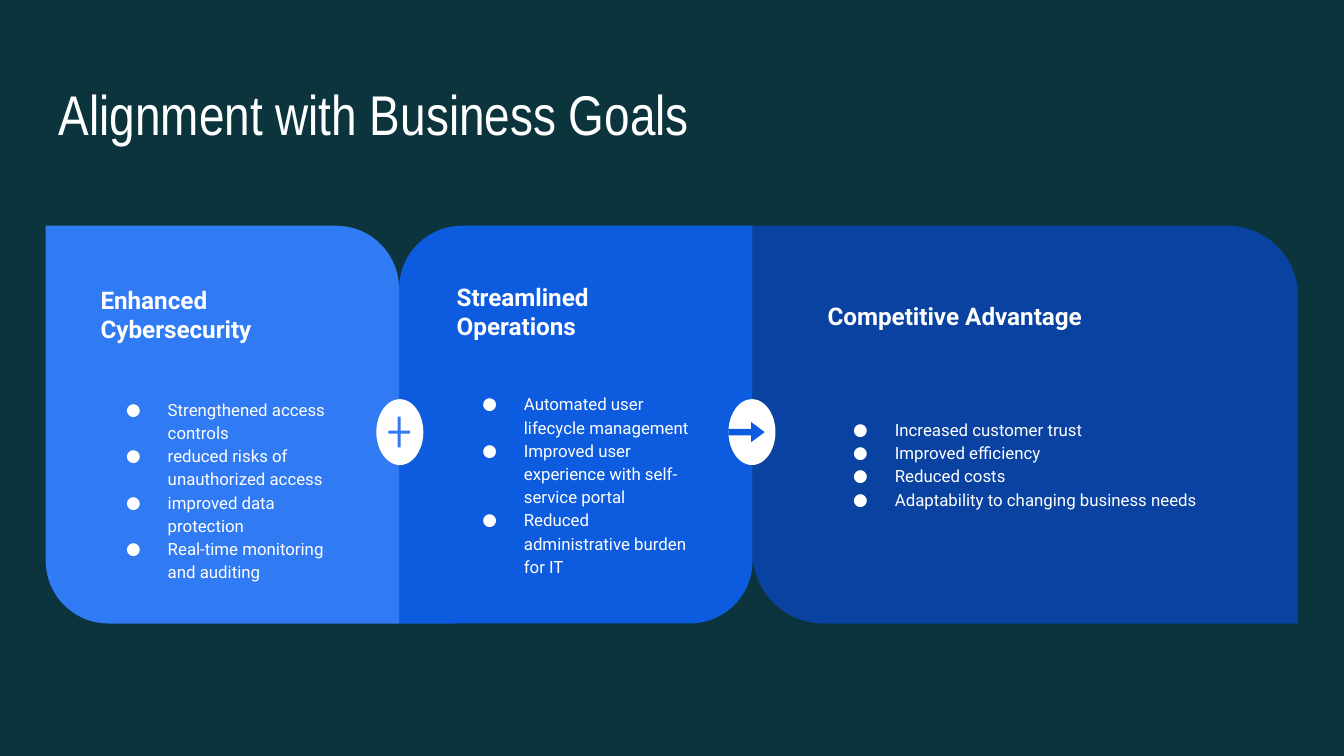
from pptx import Presentation
from pptx.dml.color import RGBColor
from pptx.enum.shapes import MSO_SHAPE as SHAPE
from pptx.enum.text import MSO_ANCHOR as ANCHOR
from pptx.oxml.ns import qn
from pptx.util import Inches, Pt
from lxml.etree import SubElement

COLORS = {"ground": "0C343D", "white": "FFFFFF", "light": "307AF3",
          "middle": "0D5CDF", "dark": "0942A1"}
ROUND = 0.178
PANEL_TOP, PANEL_HEIGHT = 1.68, 2.96


def add_filled(shapes, preset, box, color, adjustments=()):
    shape = shapes.add_shape(preset, *map(Inches, box))
    shape.shadow.inherit = False
    shape.fill.solid()
    shape.fill.fore_color.rgb = RGBColor.from_string(COLORS[color])
    shape.line.fill.background()
    for index, value in enumerate(adjustments):
        shape.adjustments[index] = value


def add_text(shapes, box, lines, bulleted=False, **font_format):
    frame = shapes.add_textbox(*map(Inches, box)).text_frame
    inset = Inches(0.1)
    frame_format = {"word_wrap": True, "vertical_anchor": ANCHOR.TOP,
                    "margin_left": inset, "margin_right": inset,
                    "margin_top": inset, "margin_bottom": inset}
    for name, value in frame_format.items():
        setattr(frame, name, value)
    for index, line in enumerate(lines):
        paragraph = frame.add_paragraph() if index else frame.paragraphs[0]
        run = paragraph.add_run()
        run.text = line
        run.font.color.rgb = RGBColor.from_string(COLORS["white"])
        for name, value in font_format.items():
            setattr(run.font, name, value)
        if bulleted:
            paragraph.line_spacing = 1.15
            properties = paragraph._p.get_or_add_pPr()
            properties.set("marL", str(Inches(0.5)))
            properties.set("indent", str(Inches(-0.31)))
            bullet_color = SubElement(properties, qn("a:buClr"))
            SubElement(bullet_color, qn("a:srgbClr"), val=COLORS["white"])
            SubElement(properties, qn("a:buFont"), typeface="Roboto")
            SubElement(properties, qn("a:buChar"), char="●")


prs = Presentation()
prs.slide_width = Inches(10)
prs.slide_height = Inches(10) * 9 // 16
slide = prs.slides.add_slide(prs.slide_layouts[6])
slide.background.fill.solid()
slide.background.fill.fore_color.rgb = RGBColor.from_string(COLORS["ground"])

add_text(slide.shapes, (0.34, 0.49, 9.32, 0.63), ["Alignment with Business Goals"],
         size=Pt(30), name="Arial Narrow")

# left, width, color, corner rounding, text left, text width,
# heading top and height, list top and height, heading, list
panels = [
    (2.97, 2.63, "middle", (ROUND, 0), 3.3, 1.96, (2, 0.68), (2.81, 1.6),
     "Streamlined Operations",
     ["Automated user lifecycle management",
      "Improved user experience with self-service portal",
      "Reduced administrative burden for IT"]),
    (0.34, 2.63, "light", (0, ROUND), 0.65, 1.96, (2.02, 0.63), (2.85, 1.58),
     "Enhanced Cybersecurity",
     ["Strengthened access controls",
      "reduced risks of unauthorized access",
      "improved data protection",
      "Real-time monitoring and auditing"]),
    (5.6, 4.06, "dark", (0, ROUND), 6.06, 3.27, (2.14, 0.68), (3, 0.96),
     "Competitive Advantage",
     ["Increased customer trust",
      "Improved efficiency",
      "Reduced costs",
      "Adaptability to changing business needs"]),
]
for (left, width, color, corners, text_left, text_width,
     (heading_top, heading_height), (list_top, list_height), heading, goals) in panels:
    panel = slide.shapes.add_group_shape().shapes
    add_filled(panel, SHAPE.ROUND_2_DIAG_RECTANGLE,
               (left, PANEL_TOP, width, PANEL_HEIGHT), color, corners)
    add_text(panel, (text_left, heading_top, text_width, heading_height), [heading],
             size=Pt(13), name="Roboto", bold=True)
    add_text(panel, (text_left, list_top, text_width, list_height), goals,
             bulleted=True, size=Pt(9), name="Roboto")

badges = [
    (5.42, SHAPE.RIGHT_ARROW, (5.42, 3.14, 0.27, 0.15), "middle", (0.32, 0.67)),
    (2.8, SHAPE.MATH_PLUS, (2.86, 3.06, 0.22, 0.31), "light", (0.099,)),
]
for left, symbol, symbol_box, color, adjustments in badges:
    badge = slide.shapes.add_group_shape().shapes
    add_filled(badge, SHAPE.OVAL, (left, 2.97, 0.35, 0.49), "white")
    add_filled(badge, symbol, symbol_box, color, adjustments)

prs.save("out.pptx")
